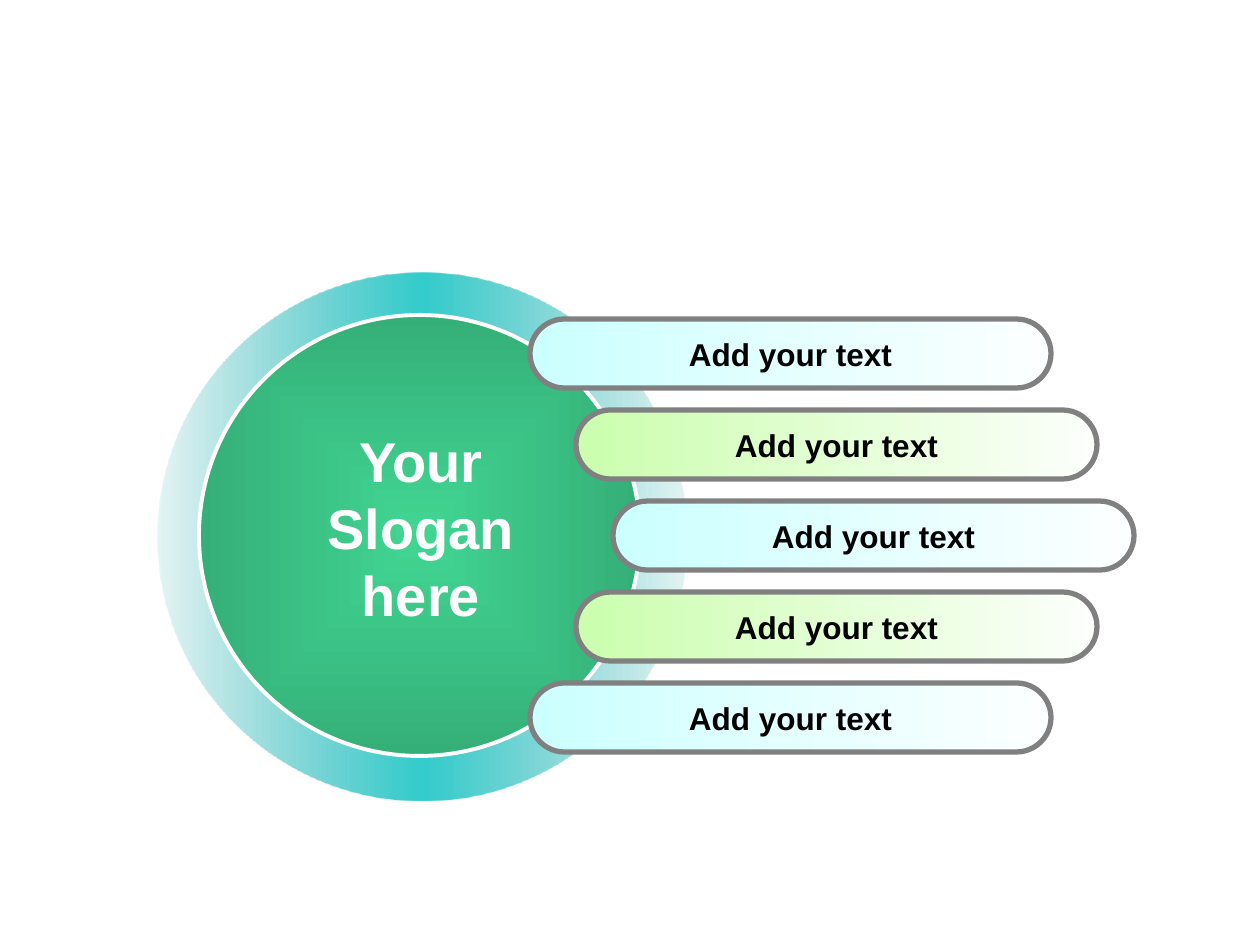
"""Build a slogan circle with five fanned-out text bars."""
from dataclasses import dataclass
from typing import Any

from pptx import Presentation
from pptx.dml.color import RGBColor
from pptx.enum.shapes import MSO_SHAPE
from pptx.enum.text import MSO_ANCHOR, MSO_AUTO_SIZE, PP_ALIGN
from pptx.oxml import parse_xml
from pptx.oxml.ns import nsdecls
from pptx.util import Emu, Pt

PX_PER_INCH = 126
LINEAR = '<a:lin ang="0" scaled="1"/>'
FROM_CENTRE = ('<a:path path="shape"><a:fillToRect l="50000" t="50000" '
               'r="50000" b="50000"/></a:path>')


def px(length):
    return Emu(round(length * 914400 / PX_PER_INCH))


def color(value):
    return RGBColor.from_string(value)


@dataclass
class Painter:
    slide: Any
    font: str = "Arial"

    def shape(self, kind, box, stops, direction=LINEAR, outline=None, width=0, adjust=None):
        shape = self.slide.shapes.add_shape(kind, *map(px, box))
        shape.shadow.inherit = False
        if adjust is not None:
            shape.adjustments[0] = adjust
        self.gradient(shape, stops, direction)
        if outline:
            shape.line.color.rgb = color(outline)
            shape.line.width = Pt(width)
        else:
            shape.line.fill.background()
        return shape

    def gradient(self, shape, stops, direction):
        shape.fill.background()
        marks = "".join(
            f'<a:gs pos="{position * 1000}"><a:srgbClr val="{tone}">'
            f'<a:alpha val="{opacity * 1000}"/></a:srgbClr></a:gs>'
            for position, tone, opacity in stops)
        properties = shape.element.spPr
        empty = properties.find("{*}noFill")
        properties.replace(empty, parse_xml(
            f'<a:gradFill {nsdecls("a")} rotWithShape="1">'
            f'<a:gsLst>{marks}</a:gsLst>{direction}</a:gradFill>'))

    def set_text(self, frame, lines, size, tone):
        frame.word_wrap = False
        frame.text = "\n".join(lines)
        for paragraph in frame.paragraphs:
            paragraph.alignment = PP_ALIGN.CENTER
            paragraph.font.name = self.font
            paragraph.font.size = Pt(size)
            paragraph.font.bold = True
            paragraph.font.color.rgb = color(tone)

    def bar(self, box, text, start, end):
        bar = self.shape(MSO_SHAPE.ROUNDED_RECTANGLE, box,
                         [(0, start, 100), (100, end, 100)],
                         outline="808080", width=3, adjust=0.5)
        bar.text_frame.vertical_anchor = MSO_ANCHOR.MIDDLE
        self.set_text(bar.text_frame, [text], 18, "000000")

    def slogan(self, box, lines):
        frame = self.slide.shapes.add_textbox(*map(px, box)).text_frame
        self.set_text(frame, lines, 32, "FFFFFF")
        frame.auto_size = MSO_AUTO_SIZE.SHAPE_TO_FIT_TEXT
        for paragraph in frame.paragraphs:
            for run in paragraph.runs:
                run._r.get_or_add_rPr().append(parse_xml(
                    f'<a:effectLst {nsdecls("a")}><a:outerShdw dist="35921" dir="2700000">'
                    '<a:srgbClr val="000000"/></a:outerShdw></a:effectLst>'))


def main():
    deck = Presentation()
    deck.slide_width, deck.slide_height = px(1260), px(945)
    painter = Painter(deck.slides.add_slide(deck.slide_layouts[6]))

    painter.shape(MSO_SHAPE.DONUT, (158, 273, 528, 528),
                  [(0, "2BABAB", 12), (50, "33CCCC", 100), (100, "2BABAB", 12)],
                  adjust=0.09)
    painter.shape(MSO_SHAPE.OVAL, (199, 315, 441, 441),
                  [(0, "41D592", 100), (100, "35AF78", 100)],
                  FROM_CENTRE, outline="FFFFFF", width=2.25)

    blue, green = ("CCFFFF", "FCFFFF"), ("CBFEAE", "FCFFFB")
    for row, left in enumerate((530, 576, 613, 576, 530)):
        start, end = green if row % 2 else blue
        painter.bar((left, 319 + 91 * row, 521, 69), "Add your text", start, end)

    painter.slogan((315, 420, 212, 214), ["Your", "Slogan", "here"])
    deck.save("out.pptx")


if __name__ == "__main__":
    main()
